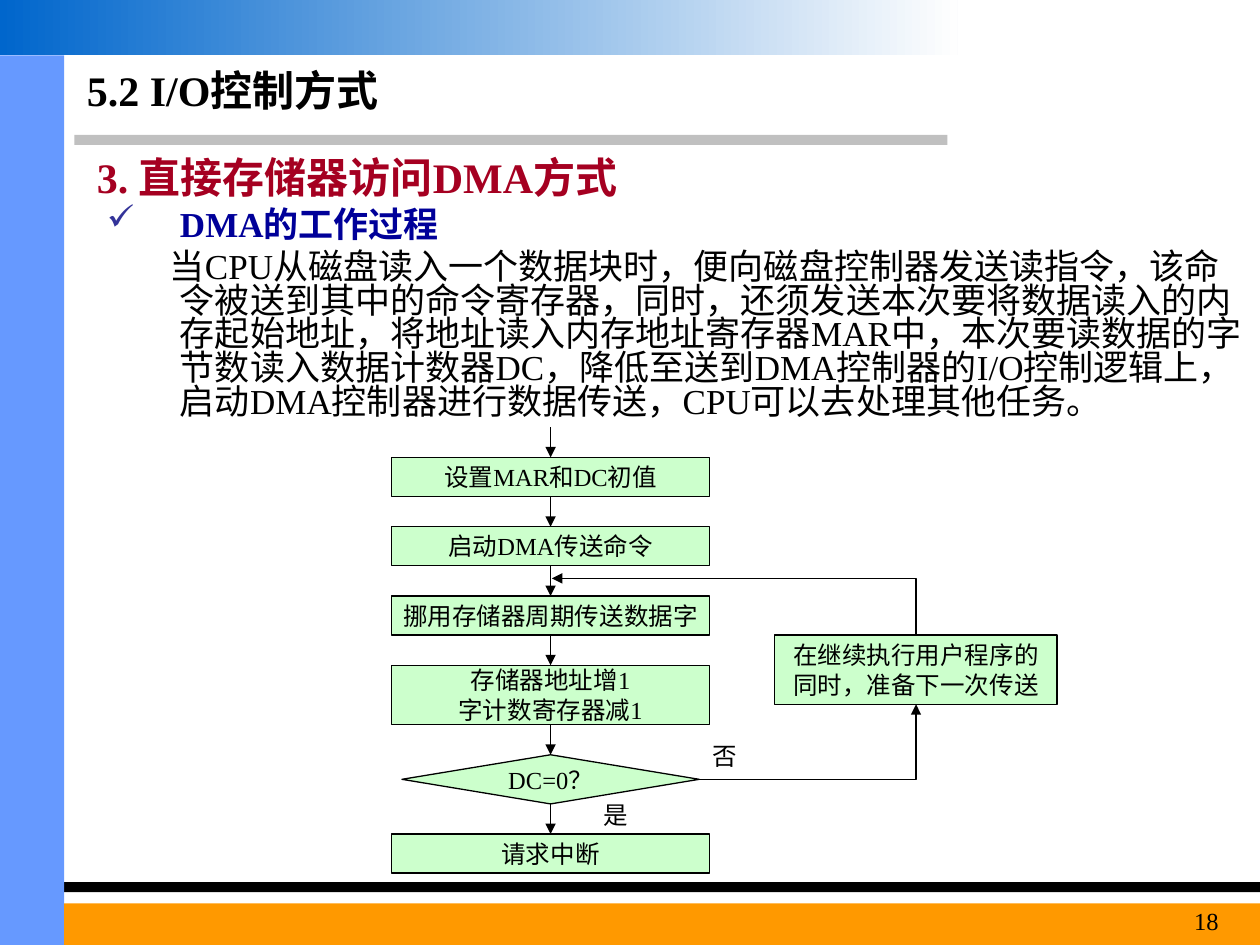
from lxml.etree import SubElement
from pptx import Presentation
from pptx.dml.color import RGBColor
from pptx.enum.shapes import MSO_CONNECTOR as LINK, MSO_SHAPE as SHAPE
from pptx.enum.text import MSO_ANCHOR as ANCHOR, PP_ALIGN as ALIGN
from pptx.oxml.ns import qn
from pptx.util import Inches, Pt

FONT = "Times New Roman"
COLORS = {
    "black": "000000", "silver": "C0C0C0", "side": "6699FF", "footer": "FF9900",
    "banner": "0066CC", "fade": "FEFEFE", "heading": "A50021", "topic": "000099",
    "check": "333399", "step": "CCFFCC",
}
BARS = [
    ((0.59, 1.07, 6.93, 0.08), "silver"),
    ((0, 7, 10, 0.08), "black"),
    ((0, 0.44, 0.51, 7.06), "side"),
    ((0.51, 7.17, 9.49, 0.33), "footer"),
]
TITLE = "5.2 I/O控制方式"
HEADING = "3. 直接存储器访问DMA方式"
TOPIC = "DMA的工作过程"
PROCESS = (
    "当CPU从磁盘读入一个数据块时，便向磁盘控制器发送读指令，该命令被送到其中的命令寄存器，"
    "同时，还须发送本次要将数据读入的内存起始地址，将地址读入内存地址寄存器MAR中，"
    "本次要读数据的字节数读入数据计数器DC，降低至送到DMA控制器的I/O控制逻辑上，"
    "启动DMA控制器进行数据传送，CPU可以去处理其他任务。"
)
# Lines of text, outline, width, height
STEPS = [
    (["设置MAR和DC初值"], SHAPE.RECTANGLE, 2.52, 0.31),
    (["启动DMA传送命令"], SHAPE.RECTANGLE, 2.52, 0.31),
    (["挪用存储器周期传送数据字"], SHAPE.RECTANGLE, 2.52, 0.31),
    (["存储器地址增1", "字计数寄存器减1"], SHAPE.RECTANGLE, 2.52, 0.47),
    (["DC=0？"], SHAPE.DIAMOND, 2.36, 0.39),
    (["请求中断"], SHAPE.RECTANGLE, 2.52, 0.31),
]
LOOP_STEP = ["在继续执行用户程序的", "同时，准备下一次传送"]
LOOP_BOX = (6.15, 5.04, 2.24, 0.55)
BRANCHES = [("否", 5.56, 5.83), ("是", 4.69, 6.3)]
FLOW_X, FLOW_TOP, GAP = 4.37, 3.63, 0.24

deck = Presentation()
deck.slide_width, deck.slide_height = Inches(10), Inches(7.5)
page = deck.slides.add_slide(deck.slide_layouts[6])


def rgb(name):
    return RGBColor.from_string(COLORS[name])


def add_span(para, text, size, color="black", bold=False):
    span = para.add_run()
    span.text = text
    span.font.name, span.font.size, span.font.bold = FONT, Pt(size), bold
    span.font.color.rgb = rgb(color)


def add_shape(kind, place, color):
    shape = page.shapes.add_shape(kind, *map(Inches, place))
    shape.shadow.inherit = False
    shape.fill.solid()
    shape.fill.fore_color.rgb = rgb(color)
    shape.line.fill.background()
    return shape


def add_step(lines, kind, place):
    shape = add_shape(kind, place, "step")
    shape.line.color.rgb = rgb("black")
    shape.line.width = Pt(0.75)
    frame = shape.text_frame
    frame.word_wrap = False
    frame.vertical_anchor = ANCHOR.MIDDLE
    for number, line in enumerate(lines):
        para = frame.add_paragraph() if number else frame.paragraphs[0]
        para.alignment = ALIGN.CENTER
        add_span(para, line, 14)


def add_text(place, text, size, color="black", bold=False, before=0):
    frame = page.shapes.add_textbox(*map(Inches, place)).text_frame
    frame.word_wrap = True
    para = frame.paragraphs[0]
    para.space_before = Pt(before)
    add_span(para, text, size, color, bold)
    return frame


def add_arrow(start, end, kind=LINK.STRAIGHT, arrow_end="tailEnd"):
    arrow = page.shapes.add_connector(kind, *map(Inches, start + end))
    arrow.line.color.rgb = rgb("black")
    arrow.line.width = Pt(0.75)
    props = arrow._element.spPr
    if kind == LINK.ELBOW:
        props.find(qn("a:prstGeom")).set("prst", "bentConnector2")
    SubElement(props.find(qn("a:ln")), qn("a:" + arrow_end), type="triangle")
    SubElement(props, qn("a:effectLst"))


def set_body_format(para, first_indent):
    para.line_spacing = 0.8
    para.space_before = Pt(5)
    props = para._p.get_or_add_pPr()
    props.set("marL", str(Inches(0.58)))
    props.set("indent", str(Inches(first_indent)))
    return props


# Background bars
for place, color in BARS:
    add_shape(SHAPE.RECTANGLE, place, color)
banner = add_shape(SHAPE.RECTANGLE, (0, 0, 7.6, 0.44), "banner")
banner.fill.gradient()
banner.fill.gradient_angle = 0
for stop, color in zip(banner.fill.gradient_stops, ("banner", "fade")):
    stop.color.rgb = rgb(color)

# Title, heading and body
title = add_text((0.59, 0.44, 6.85, 0.55), TITLE, 24, bold=True)
title.vertical_anchor = ANCHOR.MIDDLE
body = add_text((0.75, 1.62, 9.25, 1.81), TOPIC, 20, "topic", True)
topic_props = set_body_format(body.paragraphs[0], -0.58)
bullet_color = SubElement(topic_props, qn("a:buClr"))
SubElement(bullet_color, qn("a:srgbClr"), val=COLORS["check"])
SubElement(topic_props, qn("a:buChar"), char="✓")
process = body.add_paragraph()
set_body_format(process, -0.08)
add_span(process, PROCESS, 20)
add_text((0.67, 1.15, 5.51, 0.5), HEADING, 24, "heading", True, 15)

# Flow chart, each step entered by an arrow as long as the gap
top = FLOW_TOP
for lines, kind, width, height in STEPS:
    add_arrow((FLOW_X, top - GAP), (FLOW_X, top))
    add_step(lines, kind, (FLOW_X - width / 2, top, width, height))
    if kind == SHAPE.DIAMOND:
        decision = (FLOW_X + width / 2, top + height / 2)
    top += height + GAP

# Loop back from the decision
left, loop_top, width, height = LOOP_BOX
loop_x = left + width / 2
add_step(LOOP_STEP, SHAPE.RECTANGLE, LOOP_BOX)
add_arrow(decision, (loop_x, loop_top + height), LINK.ELBOW)
add_arrow((FLOW_X + 0.01, 4.59), (loop_x, loop_top), LINK.ELBOW, "headEnd")
for text, left, top in BRANCHES:
    add_text((left, top, 0.47, 0.34), text, 14, before=8.8)

number = add_text((8.86, 7.14, 0.91, 0.36), "18", 14)
number.paragraphs[0].alignment = ALIGN.RIGHT

deck.save("out.pptx")
